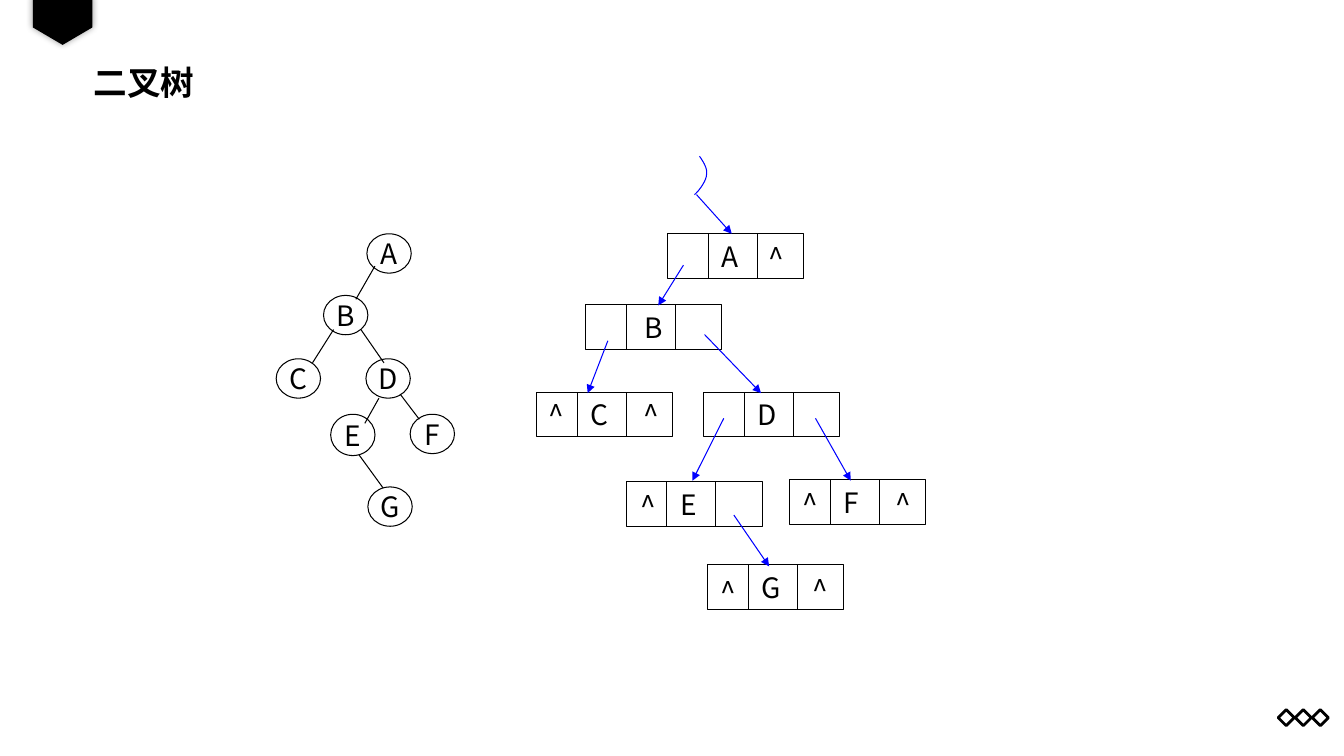
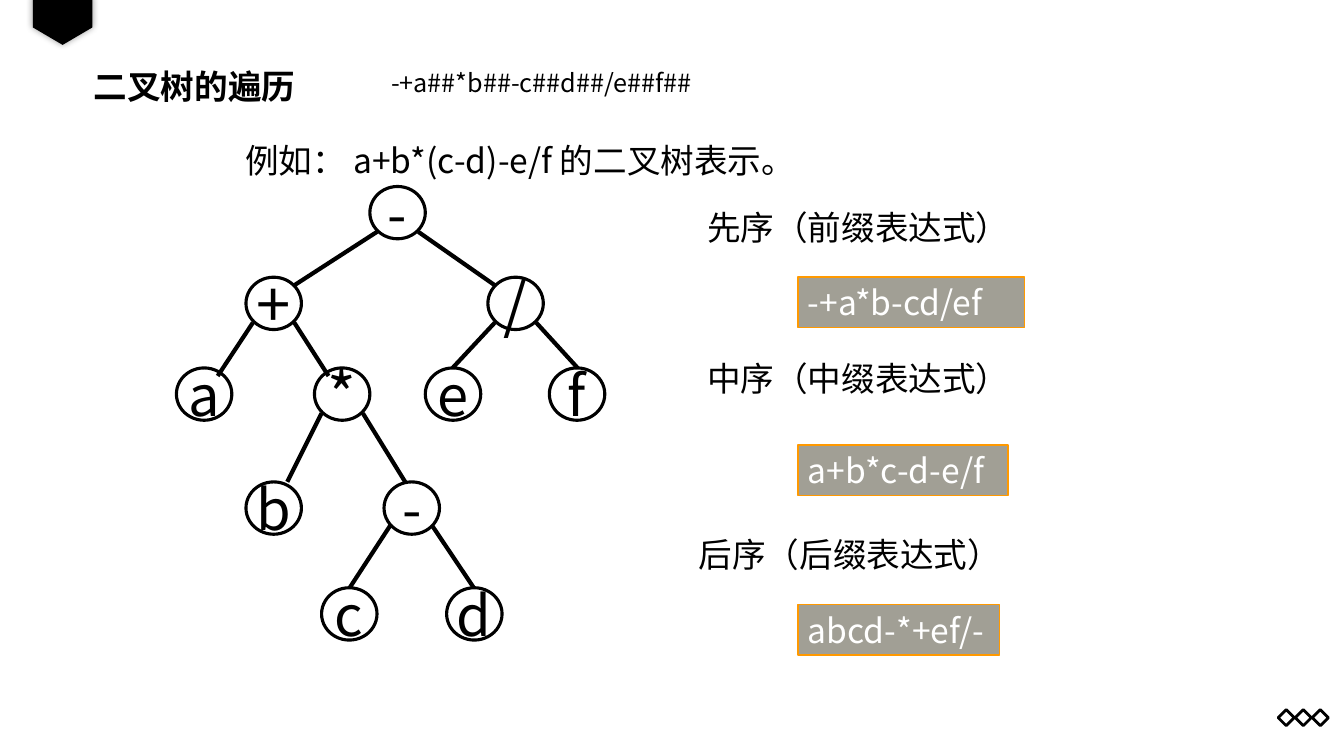
from dataclasses import dataclass
from typing import Optional

from lxml.etree import SubElement
from pptx import Presentation
from pptx.dml.color import RGBColor
from pptx.enum.shapes import MSO_CONNECTOR, MSO_SHAPE
from pptx.enum.text import MSO_ANCHOR, PP_ALIGN
from pptx.oxml.ns import qn
from pptx.util import Pt

# Shared look
FONT = "Noto Sans CJK SC"
BLACK, WHITE, BLUE = "000000", "FFFFFF", "0000FF"
GREY, ORANGE = "A19F95", "FF9900"
THIN = 0.75

# Linked storage cells
CELL_WIDTH, CELL_HEIGHT = 97.4, 31.9
DIVIDERS = (29.2, 64.2)
LABEL_INSET = 38.6

Point = tuple[float, float]
Segment = tuple[float, float, float, float]


@dataclass
class TreeNode:
    label: str
    left: float
    top: float
    size: float = 20
    height: float = 28.1


@dataclass
class LinkedCell:
    label: str
    left: float
    top: float
    nulls: tuple[Point, ...] = ()
    centred: bool = False


@dataclass
class Traversal:
    heading: str
    heading_left: float
    heading_top: float
    heading_width: float
    expression: str
    expression_top: float
    expression_width: float


def rgb(color: str) -> RGBColor:
    return RGBColor.from_string(color)


def write(shape, text: str, *, size: float = 24, color: str = BLACK, bold: bool = False,
          align=PP_ALIGN.LEFT, wrap: bool = False, inset: float = 7.2) -> None:
    frame = shape.text_frame
    frame.word_wrap = wrap
    frame.vertical_anchor = MSO_ANCHOR.MIDDLE
    frame.margin_left = Pt(inset)
    paragraph = frame.paragraphs[0]
    paragraph.alignment = align
    run = paragraph.add_run()
    run.text = text
    run.font.size, run.font.bold, run.font.name = Pt(size), bold, FONT
    run.font.color.rgb = rgb(color)
    SubElement(run.font._element, qn("a:ea"), typeface=FONT)


def add_text(slide, text: str, left: float, top: float, width: float, height: float,
             **text_format) -> None:
    box = slide.shapes.add_textbox(Pt(left), Pt(top), Pt(width), Pt(height))
    write(box, text, **text_format)


def style(shape, fill: Optional[str], line: Optional[str], weight: float) -> None:
    shape.shadow.inherit = False
    if fill:
        shape.fill.solid()
        shape.fill.fore_color.rgb = rgb(fill)
    else:
        shape.fill.background()
    if line:
        shape.line.color.rgb = rgb(line)
        shape.line.width = Pt(weight)
    else:
        shape.line.fill.background()


def add_figure(shapes, kind, left: float, top: float, width: float, height: float, *,
               fill: Optional[str] = None, line: Optional[str] = BLACK, weight: float = THIN):
    figure = shapes.add_shape(kind, Pt(left), Pt(top), Pt(width), Pt(height))
    style(figure, fill, line, weight)
    return figure


def add_line(slide, segment: Segment, *, color: str = BLACK, weight: float = THIN,
             arrow: bool = False) -> None:
    connector = slide.shapes.add_connector(MSO_CONNECTOR.STRAIGHT, *map(Pt, segment))
    connector.line.color.rgb = rgb(color)
    connector.line.width = Pt(weight)
    if arrow:
        SubElement(connector.line._get_or_add_ln(), qn("a:tailEnd"), type="triangle")
    SubElement(connector._element.spPr, qn("a:effectLst"))


def add_soft_shadow(shape) -> None:
    effects = shape._element.spPr.find(qn("a:effectLst"))
    shadow = SubElement(effects, qn("a:outerShdw"), blurRad=str(Pt(5)), dist="0", dir="0",
                        algn="ctr", rotWithShape="0")
    tint = SubElement(shadow, qn("a:srgbClr"), val=BLACK)
    SubElement(tint, qn("a:alpha"), val="40000")


def add_page(deck, title: str, title_top: float):
    slide = deck.slides.add_slide(deck.slide_layouts[6])
    # Footer ornament
    ornament = slide.shapes.add_group_shape()
    for index in range(3):
        add_figure(ornament.shapes, MSO_SHAPE.DIAMOND, 913 + 12.2 * index, 506.9, 11.5, 11.5,
                   weight=2)
    # Bookmark at the top edge
    bookmark = add_figure(slide.shapes, MSO_SHAPE.PENTAGON, 27.4, -6.5, 34.6, 42.5,
                          fill=BLACK, line=None)
    bookmark.adjustments[0] = 0.36
    bookmark.rotation = 90
    add_soft_shadow(bookmark)
    add_text(slide, title, 59.8, title_top, 841, 33.1, bold=True, wrap=True)
    return slide


def add_tree_node(slide, node: TreeNode, width: float, weight: float) -> None:
    circle = add_figure(slide.shapes, MSO_SHAPE.OVAL, node.left, node.top, width, node.height,
                        weight=weight)
    write(circle, node.label, size=node.size, align=PP_ALIGN.CENTER)


def add_linked_cell(slide, cell: LinkedCell) -> None:
    box = add_figure(slide.shapes, MSO_SHAPE.RECTANGLE, cell.left, cell.top,
                     CELL_WIDTH, CELL_HEIGHT)
    if cell.centred:
        write(box, cell.label, size=20, align=PP_ALIGN.CENTER)
    else:
        write(box, cell.label, size=20, inset=LABEL_INSET)
    for offset in DIVIDERS:
        x = cell.left + offset
        add_line(slide, (x, cell.top, x, cell.top + CELL_HEIGHT))
    for dx, dy in cell.nulls:
        add_text(slide, "^", cell.left + dx, cell.top + dy, 28.1, CELL_HEIGHT,
                 size=20, align=PP_ALIGN.CENTER)


def bezier(a: Point, b: Point, c: Point, d: Point, steps: int = 10) -> list[Point]:
    points = []
    for step in range(1, steps + 1):
        t = step / steps
        weights = ((1 - t) ** 3, 3 * t * (1 - t) ** 2, 3 * t * t * (1 - t), t ** 3)
        points.append(tuple(sum(w * p[axis] for w, p in zip(weights, (a, b, c, d)))
                            for axis in (0, 1)))
    return points


def add_root_curve(slide) -> None:
    start, bend, end = (499.7, 111.6), (504.7, 124.6), (496.1, 139)
    points = (bezier(start, (502.6, 115.9), (505.4, 120.2), bend)
              + bezier(bend, (504.7, 129.6), (498.2, 137.5), end))
    builder = slide.shapes.build_freeform(Pt(start[0]), Pt(start[1]))
    builder.add_line_segments([(Pt(x), Pt(y)) for x, y in points], close=False)
    style(builder.convert_to_shape(), None, BLUE, THIN)


def add_traversal(slide, item: Traversal) -> None:
    add_text(slide, item.heading, item.heading_left, item.heading_top, item.heading_width, 36,
             wrap=True)
    box = add_figure(slide.shapes, MSO_SHAPE.RECTANGLE, 570, item.expression_top,
                     item.expression_width, 36, fill=GREY, line=ORANGE, weight=1)
    write(box, item.expression, color=WHITE)


# Binary tree and its linked storage
LINKED_CELLS = [
    LinkedCell("A", 476.6, 167, ((64.1, 0.7),)),
    LinkedCell("B", 418.2, 217.6, centred=True),
    LinkedCell("C", 383.2, 280.2, ((0, 0), (67.7, 0))),
    LinkedCell("D", 502.4, 280.2),
    LinkedCell("E", 447.2, 344.1, ((2, 0.7),)),
    LinkedCell("F", 563.9, 342.5, ((0.7, 0.7), (67, 0.7))),
    LinkedCell("G", 505.2, 403.3, ((0.7, 2.9), (67, 1.4))),
]
POINTERS: list[Segment] = [
    (497.5, 139, 522.7, 167),
    (488.2, 189.4, 470.2, 218.2),
    (434.2, 243.4, 419.8, 280.8),
    (503.3, 239, 543.6, 280.8),
    (517, 298.8, 494.6, 343.4),
    (582.5, 298.8, 607.7, 343.4),
    (524.2, 367.9, 549.4, 404.6),
]
LETTER_NODES = [
    TreeNode("A", 262.1, 167),
    TreeNode("B", 231.1, 211),
    TreeNode("C", 197.3, 256.3),
    TreeNode("D", 261.4, 256.3),
    TreeNode("E", 236.2, 295.9, height=29.5),
    TreeNode("F", 293, 295.9),
    TreeNode("G", 262.8, 347.8),
]
LETTER_BRANCHES: list[Segment] = [
    (267.8, 190.1, 254.2, 213.8),
    (238.3, 235.4, 223.2, 259.2),
    (257.8, 235.4, 274.3, 259.2),
    (270.7, 284.4, 260.6, 302.4),
    (285.8, 281.5, 299.5, 299.5),
    (256.3, 324.7, 273.6, 348.5),
]

# Expression tree and its traversals
EXPRESSION_NODES = [
    TreeNode(label, left, top, size, 37.4) for label, left, top, size in (
        ("-", 264.2, 133.2, 40),
        ("+", 175.7, 198, 44), ("/", 348.5, 198, 44),
        ("a", 126, 262.8, 40), ("*", 224.6, 262.8, 44),
        ("e", 303.8, 262.8, 40), ("f", 392.4, 262.8, 40),
        ("b", 175.7, 344.2, 40), ("-", 274.3, 344.2, 40),
        ("c", 229.7, 419.8, 40), ("d", 319, 419.8, 40),
    )
]
EXPRESSION_BRANCHES: list[Segment] = [
    (269.3, 165.6, 210.2, 203.8), (298.8, 165.6, 353.5, 203.8),
    (180.7, 230.4, 155.5, 268.6), (210.2, 230.4, 234.7, 268.6),
    (353.5, 230.4, 323.3, 262.8), (383, 230.4, 412.6, 262.8),
    (229.7, 295.2, 205.2, 344.2), (259.2, 295.2, 289.4, 344.2),
    (279.4, 374.4, 249.8, 419.8), (308.9, 375.8, 338.4, 419.8),
]
TRAVERSALS = [
    Traversal("先序（前缀表达式）", 498, 144, 294, "-+a*b-cd/ef", 198, 162),
    Traversal("中序（中缀表达式）", 498, 252, 294, "a+b*c-d-e/f", 318, 150),
    Traversal("后序（后缀表达式）", 492, 378, 252, "abcd-*+ef/-", 432, 144),
]


def build_storage_page(deck) -> None:
    slide = add_page(deck, "二叉树", 41.8)
    for cell in LINKED_CELLS:
        add_linked_cell(slide, cell)
    add_root_curve(slide)
    for pointer in POINTERS:
        add_line(slide, pointer, color=BLUE, arrow=True)
    for node in LETTER_NODES:
        add_tree_node(slide, node, 31.7, THIN)
    for branch in LETTER_BRANCHES:
        add_line(slide, branch)


def build_traversal_page(deck) -> None:
    slide = add_page(deck, "二叉树的遍历", 44.6)
    add_text(slide, "-+a##*b##-c##d##/e##f##", 272.2, 44.6, 231.1, 28.8, size=18)
    add_text(slide, "例如： a+b*(c-d)-e/f 的二叉树表示。", 168, 96, 612, 36, wrap=True)
    for node in EXPRESSION_NODES:
        add_tree_node(slide, node, 39.6, 2.25)
    for branch in EXPRESSION_BRANCHES:
        add_line(slide, branch, weight=3)
    for item in TRAVERSALS:
        add_traversal(slide, item)


presentation = Presentation()
presentation.slide_width, presentation.slide_height = Pt(960), Pt(540)
build_storage_page(presentation)
build_traversal_page(presentation)
presentation.save("out.pptx")
